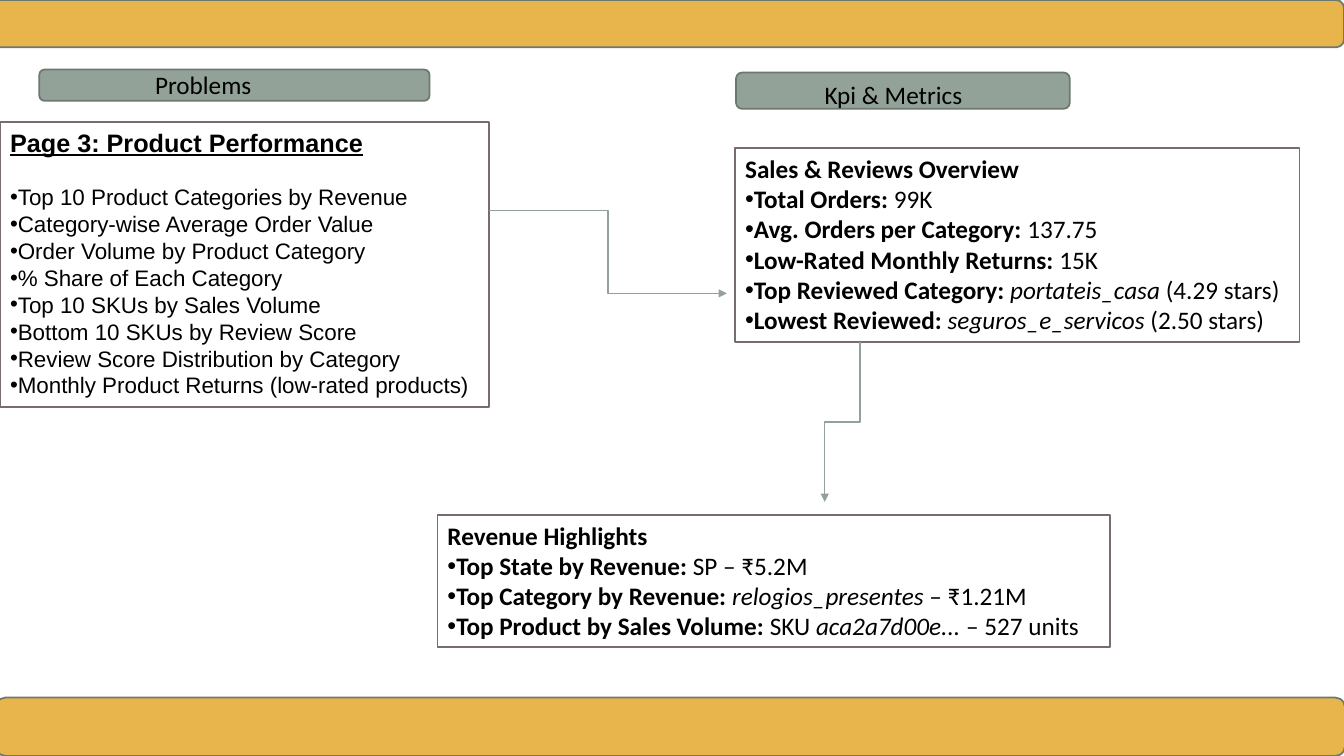
import pptx
import pptx.util
import pptx.dml.color
import pptx.enum.dml
import pptx.enum.shapes
import pptx.enum.text
import pptx.oxml.ns
import lxml.etree

Inches = pptx.util.Inches
Pt = pptx.util.Pt
ALIGN = pptx.enum.text.PP_ALIGN
SHAPE = pptx.enum.shapes.MSO_SHAPE

COLORS = {"gold": "E8B54D", "sage": "93A299", "sage_edge": "6D7871",
          "box_edge": "786C71", "white": "FFFFFF", "text": "000000"}

HEADING = "Page 3: Product Performance"
PROBLEMS = [
    "Top 10 Product Categories by Revenue",
    "Category-wise Average Order Value",
    "Order Volume by Product Category",
    "% Share of Each Category",
    "Top 10 SKUs by Sales Volume",
    "Bottom 10 SKUs by Review Score",
    "Review Score Distribution by Category",
    "Monthly Product Returns (low-rated products)",
]
OVERVIEW = ("Sales & Reviews Overview", [
    [("Total Orders:", "b"), (" 99K", "")],
    [("Avg. Orders per Category:", "b"), (" 137.75", "")],
    [("Low-Rated Monthly Returns:", "b"), (" 15K", "")],
    [("Top Reviewed Category: ", "b"), ("portateis_casa", "i"), (" (4.29 stars)", "")],
    [("Lowest Reviewed: ", "b"), ("seguros_e_servicos", "i"), (" (2.50 stars)", "")],
])
REVENUE = ("Revenue Highlights", [
    [("Top State by Revenue:", "b"), (" SP – ₹5.2M", "")],
    [("Top Category by Revenue: ", "b"), ("relogios_presentes", "i"), (" – ₹1.21M", "")],
    [("Top Product by Sales Volume:", "b"), (" SKU ", ""), ("aca2a7d00e...", "i"),
     (" – 527 units", "")],
])
BARS = [
    ((-0.09, 0, 13.42, 0.47), "gold"),
    ((-0.04, 6.92, 13.38, 0.58), "gold"),
    ((0.39, 0.69, 3.87, 0.31), "sage"),
    ((7.3, 0.72, 3.31, 0.36), "sage"),
]
LABELS = [
    ("Problems", (1.44, 0.64, 1.5, 0.4)),
    ("Kpi & Metrics", (8.08, 0.74, 2.46, 0.4)),
]
ARROWS = [
    ((4.85, 2.09, 2.36, 0.82), 0),
    ((7.56, 4.01, 1.59, 0.35), 90),
]


def rgb(name):
    return pptx.dml.color.RGBColor.from_string(COLORS[name])


def place(sp, box):
    sp.left, sp.top, sp.width, sp.height = map(Inches, box)


def outline(sp, fill, edge):
    sp.fill.solid()
    sp.fill.fore_color.rgb = rgb(fill)
    sp.line.color.rgb = rgb(edge)
    sp.line.width = Pt(1.25)


def write(sp, paragraphs, size=18, font="Calibri", align=ALIGN.LEFT,
          underline=False, margin_top=0.05):
    tf = sp.text_frame
    tf.word_wrap = True
    tf.auto_size = pptx.enum.text.MSO_AUTO_SIZE.NONE
    tf.vertical_anchor = pptx.enum.text.MSO_ANCHOR.TOP
    tf.margin_top = Inches(margin_top)
    for n, (bullet, runs) in enumerate(paragraphs):
        p = tf.paragraphs[0] if n == 0 else tf.add_paragraph()
        pPr = p._p.get_or_add_pPr()
        pPr.set("marL", "0")
        pPr.set("indent", "0")
        if bullet:
            for tag, key, value in (("a:buFont", "typeface", "Arial"),
                                    ("a:buChar", "char", "•")):
                lxml.etree.SubElement(pPr, pptx.oxml.ns.qn(tag)).set(key, value)
        else:
            lxml.etree.SubElement(pPr, pptx.oxml.ns.qn("a:buNone"))
        p.alignment = align
        p.line_spacing = 1.0
        p.space_before = Pt(0)
        for text, style in runs:
            r = p.add_run()
            r.text = text
            r.font.size = Pt(size)
            r.font.name = font
            r.font.bold = "b" in style
            r.font.italic = "i" in style
            r.font.underline = underline
            r.font.color.rgb = rgb("text")


def summary(content):
    title, items = content
    return [(False, [(title, "b")])] + [(True, runs) for runs in items]


def add_arrow(s, box, rotation):
    x, y, w, h = box
    c = s.shapes.add_connector(pptx.enum.shapes.MSO_CONNECTOR.ELBOW,
                               Inches(x), Inches(y), Inches(x + w), Inches(y + h))
    c.line.color.rgb = rgb("sage")
    c.line.width = Pt(1)
    spPr = c._element.spPr
    if rotation:
        spPr.find(pptx.oxml.ns.qn("a:xfrm")).set("rot", str(rotation * 60000))
    ln = spPr.find(pptx.oxml.ns.qn("a:ln"))
    lxml.etree.SubElement(ln, pptx.oxml.ns.qn("a:tailEnd")).set("type", "triangle")
    lxml.etree.SubElement(spPr, pptx.oxml.ns.qn("a:effectLst"))


def main():
    prs = pptx.Presentation()
    prs.slide_width, prs.slide_height = Inches(13.33), Inches(7.5)
    s = prs.slides.add_slide(prs.slide_layouts[3])

    title, problems, overview = s.placeholders
    place(title, (0, 1.21, 4.85, 0.42))
    write(title, [(False, [(HEADING, "b")])], font="Arial", underline=True)

    place(problems, (0, 1.21, 4.85, 2.83))
    outline(problems, "white", "box_edge")
    problems.fill.background()
    write(problems, [(True, [(text, "")]) for text in PROBLEMS], size=16,
          font="Arial", align=ALIGN.JUSTIFY, margin_top=0.61)

    place(overview, (7.29, 1.47, 5.6, 1.92))
    outline(overview, "white", "box_edge")
    write(overview, summary(OVERVIEW))

    for box, fill in BARS:
        bar = s.shapes.add_shape(SHAPE.ROUNDED_RECTANGLE, *map(Inches, box))
        bar.shadow.inherit = False
        outline(bar, fill, "sage_edge")

    for text, box in LABELS:
        label = s.shapes.add_textbox(*map(Inches, box))
        write(label, [(False, [(text, "")])])

    revenue = s.shapes.add_shape(SHAPE.RECTANGLE, *map(Inches, (4.34, 5.11, 6.67, 1.31)))
    revenue.shadow.inherit = False
    outline(revenue, "white", "box_edge")
    write(revenue, summary(REVENUE))

    for box, rotation in ARROWS:
        add_arrow(s, box, rotation)

    prs.save("out.pptx")


if __name__ == "__main__":
    main()
